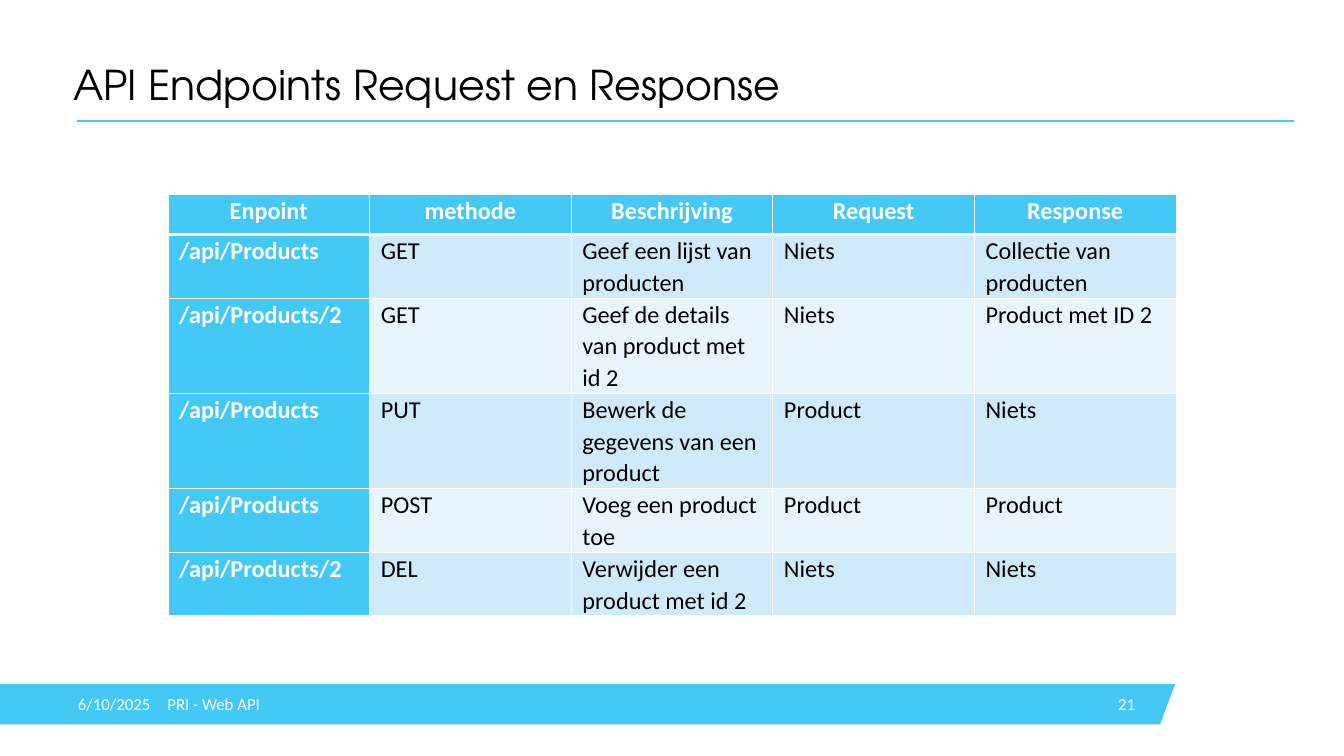
from dataclasses import dataclass

from lxml import etree
from pptx import Presentation
from pptx.dml.color import RGBColor
from pptx.enum.shapes import MSO_CONNECTOR
from pptx.enum.text import MSO_ANCHOR, MSO_AUTO_SIZE, PP_ALIGN
from pptx.oxml.ns import qn
from pptx.slide import Slide
from pptx.table import _Cell
from pptx.text.text import TextFrame, _Paragraph
from pptx.util import Pt

LEFT, CENTER, RIGHT = PP_ALIGN.LEFT, PP_ALIGN.CENTER, PP_ALIGN.RIGHT
TOP, MIDDLE = MSO_ANCHOR.TOP, MSO_ANCHOR.MIDDLE
NO_AUTOFIT = MSO_AUTO_SIZE.NONE
STRAIGHT = MSO_CONNECTOR.STRAIGHT

COLORS = {
    "accent": "44C8F5",
    "band_dark": "CFEBFB",
    "band_light": "E9F5FD",
    "white": "FFFFFF",
    "black": "000000",
}
BODY_FONT = "Calibri"
TITLE_FONT = "TeX Gyre Adventor"

FOOTER_TOP, FOOTER_HEIGHT = 733, 43.2
COLUMN_WIDTH = 216
ROW_HEIGHTS = [43.2, 65.5, 99.4, 99.4, 65.5, 65.5]
ENDPOINT_ROWS = [
    ("Enpoint", "methode", "Beschrijving", "Request", "Response"),
    ("/api/Products", "GET", "Geef een lijst van producten", "Niets", "Collectie van producten"),
    ("/api/Products/2", "GET", "Geef de details van product met id 2", "Niets", "Product met ID 2"),
    ("/api/Products", "PUT", "Bewerk de gegevens van een product", "Product", "Niets"),
    ("/api/Products", "POST", "Voeg een product toe", "Product", "Product"),
    ("/api/Products/2", "DEL", "Verwijder een product met id 2", "Niets", "Niets"),
]


@dataclass
class FooterField:
    text: str
    left: float
    width: float
    align: PP_ALIGN = LEFT
    side_inset: float = 0


FOOTER_FIELDS = [
    FooterField("6/10/2025", 83.5, 95.8),
    FooterField("PRI - Web API", 179.3, 486),
    FooterField("21", 1144.8, 78.5, RIGHT, 7.2),
]


def rgb(color: str) -> RGBColor:
    return RGBColor.from_string(COLORS[color])


def apply_format(target: object, values: dict) -> None:
    for attribute, value in values.items():
        setattr(target, attribute, value)


def format_paragraph(paragraph: _Paragraph, font: str, size: float, color: str,
                     bold: bool = False, **layout: object) -> None:
    apply_format(paragraph, layout)
    apply_format(paragraph.font, {"name": font, "size": Pt(size), "bold": bold})
    paragraph.font.color.rgb = rgb(color)


def format_frame(frame: TextFrame, anchor: MSO_ANCHOR, side_inset: float = 0) -> None:
    apply_format(frame, {
        "word_wrap": True, "auto_size": NO_AUTOFIT, "vertical_anchor": anchor,
        "margin_left": Pt(side_inset), "margin_right": Pt(side_inset),
        "margin_top": 0, "margin_bottom": 0,
    })


def add_title(slide: Slide) -> None:
    title = slide.shapes.title
    apply_format(title, {"left": Pt(78.5), "top": Pt(69.8),
                         "width": Pt(1305.4), "height": Pt(49.7)})
    title.text_frame.text = "API Endpoints Request en Response"
    format_frame(title.text_frame, TOP)
    format_paragraph(title.text_frame.paragraphs[0], TITLE_FONT, 44, "black",
                     alignment=LEFT, line_spacing=0.9)


def add_title_rule(slide: Slide) -> None:
    rule = slide.shapes.add_connector(STRAIGHT, Pt(82), Pt(129.6), Pt(1386), Pt(129.6))
    rule.line.color.rgb = rgb("accent")
    rule.line.width = Pt(2.25)
    etree.SubElement(rule.element.spPr, qn("a:effectLst"))


def add_footer_band(slide: Slide) -> None:
    bottom = FOOTER_TOP + FOOTER_HEIGHT
    builder = slide.shapes.build_freeform(-0.7, FOOTER_TOP, scale=Pt(1))
    builder.add_line_segments([(1258.6, FOOTER_TOP), (1243.4, bottom), (-0.7, bottom)])
    band = builder.convert_to_shape()
    band.fill.solid()
    band.fill.fore_color.rgb = rgb("accent")
    band.line.fill.background()
    band.shadow.inherit = False


def add_footer_field(slide: Slide, field: FooterField) -> None:
    box = slide.shapes.add_textbox(Pt(field.left), Pt(FOOTER_TOP),
                                   Pt(field.width), Pt(FOOTER_HEIGHT))
    box.text_frame.text = field.text
    format_frame(box.text_frame, MIDDLE, field.side_inset)
    format_paragraph(box.text_frame.paragraphs[0], BODY_FONT, 18, "white",
                     alignment=field.align)


def set_borders(cell: _Cell, widths: dict[str, float]) -> None:
    """Draw white borders; the lines must precede the fill in the cell properties."""
    properties = cell._tc.get_or_add_tcPr()
    for position, (side, width) in enumerate(widths.items()):
        border = etree.Element(qn(f"a:ln{side}"), w=str(Pt(width)))
        fill = etree.SubElement(border, qn("a:solidFill"))
        etree.SubElement(fill, qn("a:srgbClr"), val=COLORS["white"])
        properties.insert(position, border)


def fill_cell(cell: _Cell, text: str, row: int, column: int) -> None:
    is_header = row == 0
    is_accent = is_header or column == 0
    band = "band_dark" if row % 2 else "band_light"
    cell.text = text
    apply_format(cell, {"margin_left": Pt(12), "margin_right": Pt(12),
                        "margin_top": 0, "margin_bottom": 0, "vertical_anchor": TOP})
    cell.fill.solid()
    cell.fill.fore_color.rgb = rgb("accent" if is_accent else band)
    format_paragraph(cell.text_frame.paragraphs[0], BODY_FONT, 26,
                     "white" if is_accent else "black", is_accent,
                     alignment=CENTER if is_header else LEFT,
                     line_spacing=1.07, space_after=Pt(6))
    set_borders(cell, {"L": 1, "R": 1, "T": 3 if row == 1 else 1, "B": 3 if is_header else 1})


def add_endpoint_table(slide: Slide) -> None:
    column_count = len(ENDPOINT_ROWS[0])
    table = slide.shapes.add_table(
        len(ENDPOINT_ROWS), column_count, Pt(180), Pt(208),
        Pt(COLUMN_WIDTH * column_count), Pt(sum(ROW_HEIGHTS))).table
    table.first_col = True
    for column in table.columns:
        column.width = Pt(COLUMN_WIDTH)
    for row, (height, texts) in enumerate(zip(ROW_HEIGHTS, ENDPOINT_ROWS)):
        table.rows[row].height = Pt(height)
        for column, text in enumerate(texts):
            fill_cell(table.cell(row, column), text, row, column)


def main() -> None:
    presentation = Presentation()
    presentation.slide_width, presentation.slide_height = Pt(1440), Pt(810)
    slide = presentation.slides.add_slide(presentation.slide_layouts[5])
    add_footer_band(slide)
    add_title_rule(slide)
    add_title(slide)
    for field in FOOTER_FIELDS:
        add_footer_field(slide, field)
    add_endpoint_table(slide)
    presentation.save("out.pptx")


if __name__ == "__main__":
    main()
